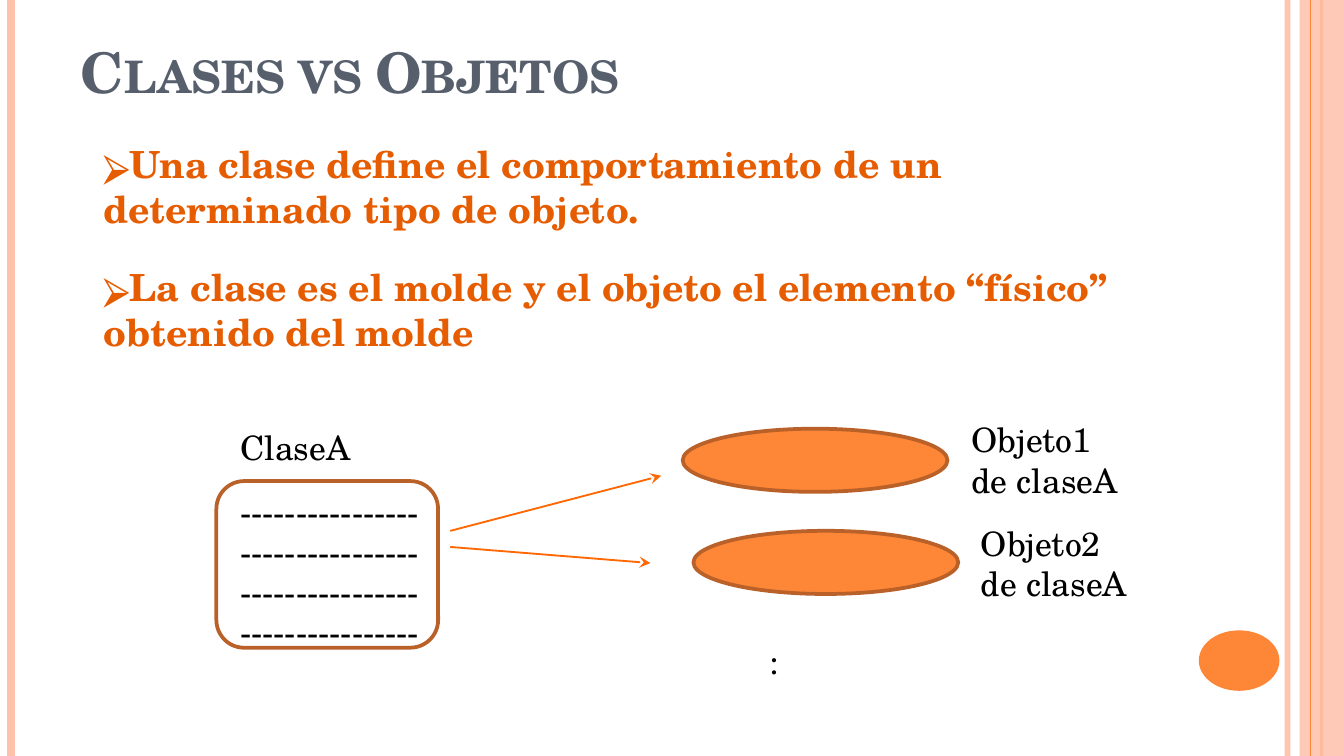
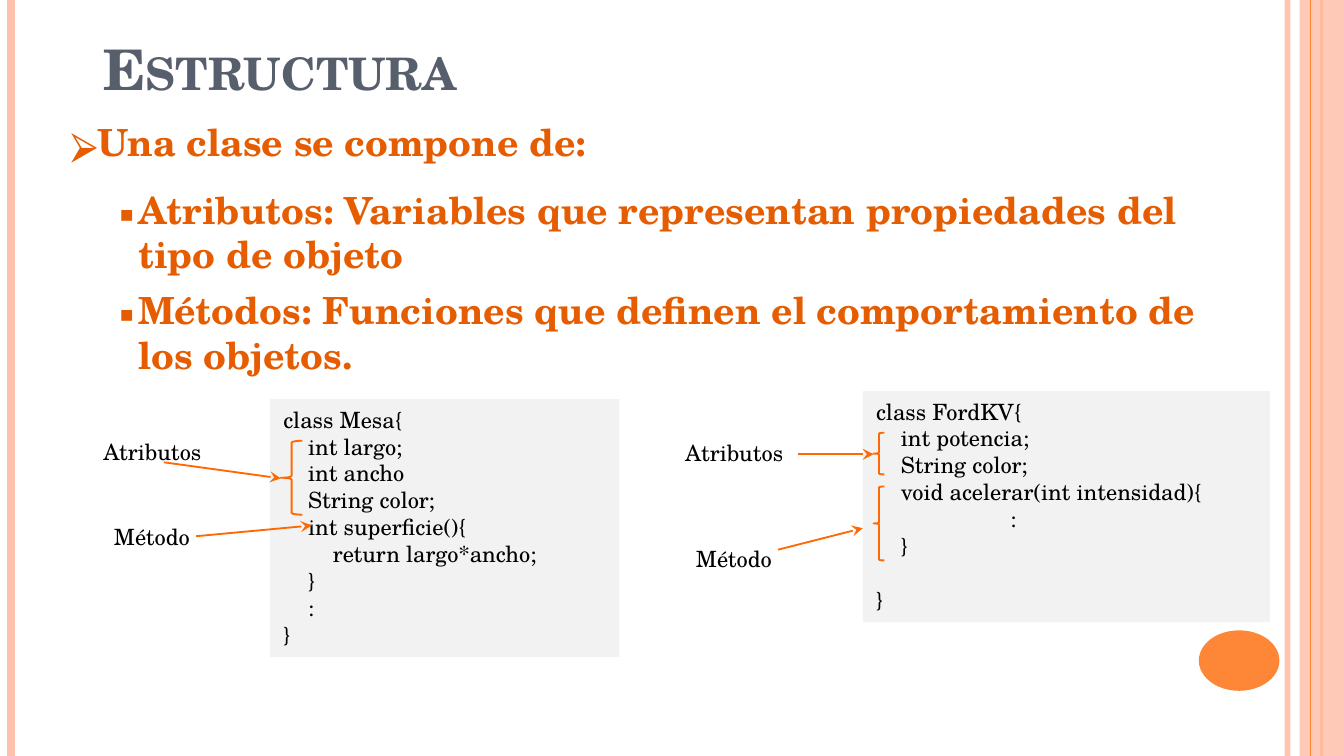
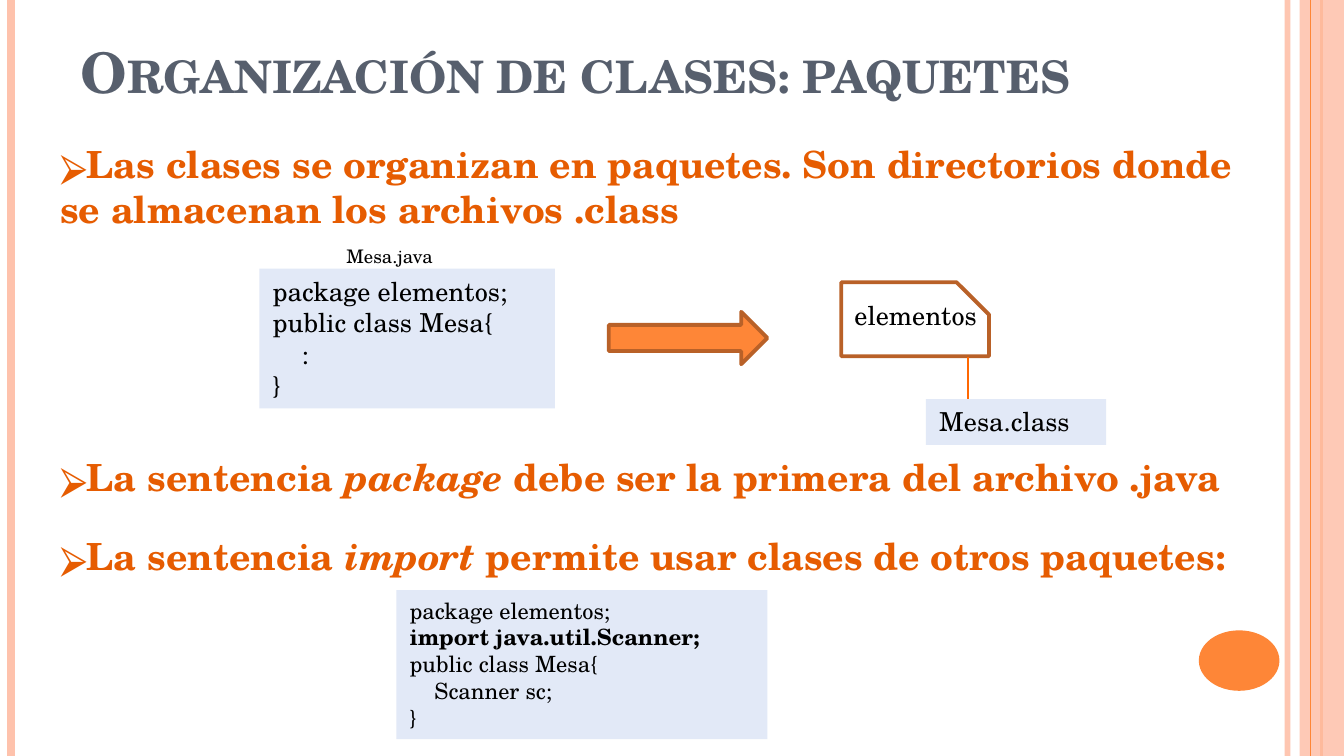
"""Build three slides about classes, objects and packages."""
from pptx import Presentation
from pptx.dml.color import RGBColor
from pptx.enum.shapes import MSO_CONNECTOR, MSO_SHAPE, PP_PLACEHOLDER
from pptx.enum.text import MSO_ANCHOR, MSO_AUTO_SIZE, PP_ALIGN
from pptx.oxml.ns import qn
from pptx.oxml.xmlchemy import OxmlElement
from pptx.util import Inches, Pt

STRAIGHT = MSO_CONNECTOR.STRAIGHT
RECTANGLE, ELLIPSE = MSO_SHAPE.RECTANGLE, MSO_SHAPE.OVAL
ROUNDED, BRACE = MSO_SHAPE.ROUNDED_RECTANGLE, MSO_SHAPE.LEFT_BRACE
ARROW, SNIPPED = MSO_SHAPE.RIGHT_ARROW, MSO_SHAPE.SNIP_1_RECTANGLE
TITLE, TOP, LEFT = PP_PLACEHOLDER.TITLE, MSO_ANCHOR.TOP, PP_ALIGN.LEFT
NO_AUTOFIT = MSO_AUTO_SIZE.NONE

FONT, BULLET_FONT = "TeX Gyre Schola", "Noto Sans Symbols"
WIDTH = 10
HEIGHT = WIDTH * 9 / 16
BLACK, SLATE, RUST = "000000", "575F6D", "E65C01"
ORANGE, BROWN, VIVID, PEACH = "FE8637", "B96128", "FF6803", "FEC2AC"
GRAY, BLUE = "F2F2F2", "E2E9F7"

BULLETS = {0: ("⮚", 0), 1: ("▪", 0.5)}
BULLET_INDENT = -0.14
CODE_TAB = 1

# Each bullet: level, space before, text parts (every second part is italic).
OBJECTS_TITLE = ("Clases vs Objetos", (0.5, 0.23, 8.17, 0.94))
OBJECTS_BULLETS = [
    (0, 0, ["Una clase define el comportamiento de un determinado tipo de objeto."]),
    (0, 18, ["La clase es el molde y el objeto el elemento “físico” obtenido del molde"]),
]
OBJECTS = [
    ("Objeto1 de claseA", (5.08, 3.19), (7.13, 3.07), (3.35, 3.95, 4.92, 3.54)),
    ("Objeto2 de claseA", (5.16, 3.95), (7.2, 3.84), (3.35, 4.07, 4.84, 4.19)),
]

STRUCTURE_TITLE = ("Estructura", (0.67, 0.21, 8.2, 0.86))
STRUCTURE_BULLETS = [
    (0, 0, ["Una clase se compone de:"]),
    (1, 12, ["Atributos: Variables que representan propiedades del tipo de objeto"]),
    (1, 6, ["Métodos: Funciones que definen el comportamiento de los objetos."]),
]
TABLE_CLASS = [
    "class Mesa{",
    "    int largo;",
    "    int ancho",
    "    String color;",
    "    int superficie(){",
    "        return largo*ancho;",
    "    }",
    "    :",
    "}",
]
CAR_CLASS = [
    "class FordKV{",
    "    int potencia;",
    "    String color;",
    "    void acelerar(int intensidad){",
    "\t:",
    "    }",
    "    ",
    "}",
]
CODE_BOXES = [(TABLE_CLASS, (2.01, 2.97, 2.6, 1.92)), (CAR_CLASS, (6.42, 2.91, 3.03, 1.72))]
BRACES = [(2.09, 3.28, 0.16, 0.55), (6.5, 3.22, 0.08, 0.31), (6.5, 3.62, 0.08, 0.55)]
MEMBER_LABELS = [
    ("Atributos", (0.67, 3.21, 1.02, 0.31), (1.22, 3.44, 2.09, 3.56)),
    ("Método", (0.75, 3.84, 0.87, 0.31), (1.46, 3.99, 2.32, 3.91)),
    ("Atributos", (5, 3.22, 1.11, 0.3), (5.94, 3.38, 6.5, 3.38)),
    ("Método", (5.08, 4.01, 0.79, 0.3), (5.79, 4.09, 6.42, 3.93)),
]

PACKAGES_TITLE = ("Organización de clases: paquetes", (0.5, 0.23, 8.17, 0.94))
PACKAGES_BULLETS = [
    (0, 0, ["Las clases se organizan en paquetes. Son directorios donde "
            "se almacenan los archivos .class"]),
    (0, 120, ["La sentencia ", "package", " debe ser la primera del archivo .java"]),
    (0, 18, ["La sentencia ", "import", " permite usar clases de otros paquetes:"]),
]
PACKAGE_CODE = ["package elementos;", "public class Mesa{", "    :", "}"]
IMPORT_CODE = [
    "package elementos;",
    "import java.util.Scanner;",
    "public class Mesa{",
    "    Scanner sc;",
    "}",
]
PACKAGE_TEXTS = [
    (PACKAGE_CODE, (1.93, 2, 2.2, 1.04), 14, BLUE),
    (["Mesa.java"], (2.48, 1.77, 1.5, 0.27), 10, None),
    (["elementos"], (6.26, 2.18, 1.34, 0.34), 14, None),
    (["Mesa.class"], (6.89, 2.97, 1.34, 0.34), 14, BLUE),
    (IMPORT_CODE, (2.95, 4.39, 2.76, 1.11), 12, BLUE),
]


def color(value):
    """Turn a hex string into a colour."""
    return RGBColor.from_string(value)


def inches(values):
    """Turn numbers into lengths."""
    return [Inches(value) for value in values]


def make_element(tag, **attributes):
    """Make an XML element with attributes."""
    element = OxmlElement(tag)
    for name, value in attributes.items():
        element.set(name, str(value))
    return element


def set_alpha(shape, percent):
    """Make the explicit colours of a shape partly transparent."""
    for element in shape.element.iter(qn("a:srgbClr")):
        element.append(make_element("a:alpha", val=percent * 1000))


def add_shape(slide, kind, box, fill=None, line=None, weight=2):
    """Add a preset shape without shadow."""
    shape = slide.shapes.add_shape(kind, *inches(box))
    shape.shadow.inherit = False
    if fill:
        shape.fill.solid()
        shape.fill.fore_color.rgb = color(fill)
    else:
        shape.fill.background()
    if line:
        shape.line.color.rgb = color(line)
        shape.line.width = Pt(weight)
    else:
        shape.line.fill.background()
    return shape


def add_line(slide, ends, line=VIVID, weight=1, arrow=False):
    """Add a straight line, with an arrowhead on request."""
    connector = slide.shapes.add_connector(STRAIGHT, *inches(ends))
    connector.line.color.rgb = color(line)
    connector.line.width = Pt(weight)
    properties = connector.element.spPr
    if arrow:
        properties.find(qn("a:ln")).append(make_element("a:tailEnd", type="stealth"))
    properties.append(make_element("a:effectLst"))
    return connector


def format_run(run, size, text_color=BLACK, bold=False, italic=False):
    """Set the font of a run."""
    font = run.font
    font.name, font.size = FONT, Pt(size)
    font.bold, font.italic = bold, italic
    font.color.rgb = color(text_color)


def set_tab(paragraph):
    """Give a code line its tab stop."""
    stops = make_element("a:tabLst")
    stops.append(make_element("a:tab", pos=Inches(CODE_TAB), algn="l"))
    paragraph._p.get_or_add_pPr().append(stops)


def add_text(slide, lines, box, size, fill=None):
    """Add a text box with one paragraph per line; import lines are bold."""
    shape = slide.shapes.add_textbox(*inches(box))
    if fill:
        shape.fill.solid()
        shape.fill.fore_color.rgb = color(fill)
    frame = shape.text_frame
    frame.word_wrap = True
    frame.text = "\n".join(lines)
    for paragraph in frame.paragraphs:
        if paragraph.text.startswith("\t"):
            set_tab(paragraph)
        for run in paragraph.runs:
            format_run(run, size, bold=run.text.startswith("import "))


def set_bullet(paragraph, level):
    """Give a paragraph the bullet and indent of its level."""
    character, margin = BULLETS[level]
    properties = paragraph._p.get_or_add_pPr()
    properties.set("marL", str(Inches(margin)))
    properties.set("indent", str(Inches(BULLET_INDENT)))
    bullet_color = make_element("a:buClr")
    bullet_color.append(make_element("a:srgbClr", val=RUST))
    properties.extend([
        bullet_color,
        make_element("a:buFont", typeface=BULLET_FONT),
        make_element("a:buChar", char=character),
    ])


def add_bullets(slide, bullets, box):
    """Add the bold bullet list of a slide."""
    frame = slide.shapes.add_textbox(*inches(box)).text_frame
    frame.word_wrap = True
    for index, (level, space, parts) in enumerate(bullets):
        paragraph = frame.add_paragraph() if index else frame.paragraphs[0]
        paragraph.level = level
        if space:
            paragraph.space_before = Pt(space)
        set_bullet(paragraph, level)
        for position, part in enumerate(parts):
            run = paragraph.add_run()
            run.text = part
            format_run(run, 20, RUST, bold=True, italic=position % 2 == 1)


def add_slide(presentation, layout, title):
    """Add a slide and format its title."""
    slide = presentation.slides.add_slide(layout)
    text, box = title
    shape = slide.shapes.title
    shape.left, shape.top, shape.width, shape.height = inches(box)
    frame = shape.text_frame
    frame.text = text
    frame.word_wrap = True
    frame.auto_size = NO_AUTOFIT
    frame.vertical_anchor = TOP
    paragraph = frame.paragraphs[0]
    paragraph.alignment = LEFT
    run = paragraph.runs[0]
    format_run(run, 30, SLATE, bold=True)
    run.font._element.set("cap", "small")
    return slide


def decorate_layout(layout, slide):
    """Draw the side bands and the disc, and move them to the layout."""
    for placeholder in list(layout.placeholders):
        if placeholder.placeholder_format.type != TITLE:
            layout.shapes.element.remove(placeholder.element)

    def vertical(x, line, weight):
        return add_line(slide, (x, 0, x, HEIGHT), line, weight)

    inner = vertical(9.58, PEACH, 3)
    set_alpha(inner, 93)
    left = vertical(0.08, PEACH, 4.5)
    outer = vertical(9.83, ORANGE, 1.5)
    band = add_shape(slide, RECTANGLE, (9.67, 0, 0.33, HEIGHT), PEACH)
    set_alpha(band, 87)
    thin = vertical(9.75, ORANGE, 0.75)
    disc = add_shape(slide, ELLIPSE, (8.92, 4.69, 0.6, 0.45), ORANGE)
    for shape in (inner, left, outer, band, thin, disc):
        layout.shapes.element.append(shape.element)


def fill_objects(slide):
    """Show one class and the objects made from it."""
    add_bullets(slide, OBJECTS_BULLETS, (0.67, 1, 7.87, 1.48))
    add_shape(slide, ROUNDED, (1.61, 3.58, 1.65, 1.24), line=BROWN)
    add_text(slide, ["-" * 64], (1.69, 3.6, 1.57, 1.31), 18)
    for name, ellipse, label, arrow in OBJECTS:
        add_line(slide, arrow, arrow=True)
        add_shape(slide, ELLIPSE, (*ellipse, 1.97, 0.47), ORANGE, BROWN)
        add_text(slide, [name], (*label, 1.42, 0.71), 18)
    add_text(slide, [":"], (5.63, 4.72, 0.94, 0.4), 18)
    add_text(slide, ["ClaseA"], (1.69, 3.13, 1.81, 0.4), 18)


def fill_structure(slide):
    """Show the attributes and methods of two classes."""
    add_bullets(slide, STRUCTURE_BULLETS, (0.43, 0.84, 8.9, 1.57))
    for code, box in CODE_BOXES:
        add_text(slide, code, box, 12, GRAY)
    for box in BRACES:
        add_shape(slide, BRACE, box, line=VIVID, weight=1)
    for label, box, arrow in MEMBER_LABELS:
        add_text(slide, [label], box, 12)
        add_line(slide, arrow, arrow=True)


def fill_packages(slide):
    """Show how a source file ends up in a package directory."""
    add_bullets(slide, PACKAGES_BULLETS, (0.35, 1, 8.98, 1.48))
    add_shape(slide, ARROW, (4.53, 2.32, 1.18, 0.39), ORANGE, BROWN)
    folder = add_shape(slide, SNIPPED, (6.26, 2.1, 1.1, 0.55), line=BROWN)
    folder.adjustments[0] = 0.44
    add_line(slide, (7.2, 2.66, 7.2, 2.97))
    for lines, box, size, fill in PACKAGE_TEXTS:
        add_text(slide, lines, box, size, fill)


def main():
    """Build and save the presentation."""
    presentation = Presentation()
    presentation.slide_width, presentation.slide_height = inches((WIDTH, HEIGHT))
    layout = presentation.slide_layouts[5]
    pages = [
        (OBJECTS_TITLE, fill_objects),
        (STRUCTURE_TITLE, fill_structure),
        (PACKAGES_TITLE, fill_packages),
    ]
    for index, (title, fill_slide) in enumerate(pages):
        slide = add_slide(presentation, layout, title)
        if index == 0:
            decorate_layout(layout, slide)
        fill_slide(slide)
    presentation.save("out.pptx")


if __name__ == "__main__":
    main()
